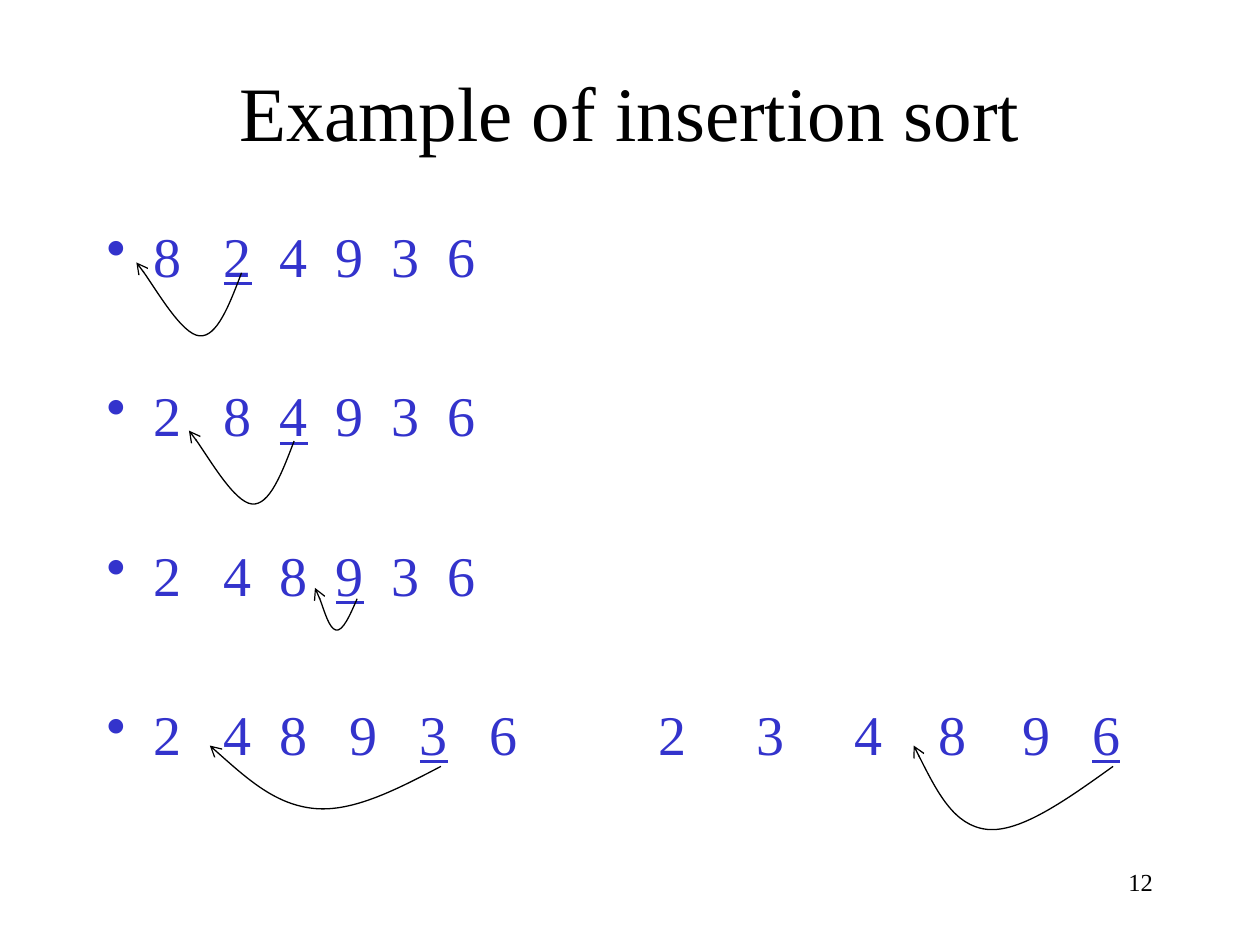
import pptx
import pptx.dml.color
import pptx.enum.text
import pptx.oxml
import pptx.oxml.ns
import pptx.util
from lxml import etree

Cm = pptx.util.Cm
Pt = pptx.util.Pt
qn = pptx.oxml.ns.qn
PP_ALIGN = pptx.enum.text.PP_ALIGN
MSO_ANCHOR = pptx.enum.text.MSO_ANCHOR

FONT = "Times New Roman"
BLACK = "000000"
BLUE = "3333CC"
DIGIT_SIZE = 32
SPACE_WIDTH = DIGIT_SIZE / 4

# Digits, positions of the underlined digits, and gaps counted in space widths.
STEPS = [
    ("824936", {1}, [3, 2, 2, 2, 2]),
    ("284936", {2}, [3, 2, 2, 2, 2]),
    ("248936", {3}, [3, 2, 2, 2, 2]),
    ("248936234896", {4, 11}, [3, 2, 3, 3, 3, 10, 5, 5, 4, 4, 3]),
]

# Moved digit, lowest point, insertion place, and how the curve leaves that place.
MOVES = [
    ((4.87, 5.5), (4.02, 6.77), (2.75, 5.29), (2.97, 5.54)),
    ((5.93, 8.89), (5.08, 10.16), (3.81, 8.68), (4.03, 8.93)),
    ((7.2, 12.07), (6.77, 12.7), (6.35, 11.85), (6.43, 11.96)),
    ((8.89, 15.45), (6.35, 16.3), (4.23, 15.03), None),
    ((22.44, 15.45), (19.9, 16.72), (18.42, 15.03), None),
]


def rgb(value):
    return pptx.dml.color.RGBColor.from_string(value)


def style(paragraph, size, color):
    paragraph.font.name = FONT
    paragraph.font.size = Pt(size)
    paragraph.font.color.rgb = rgb(color)


def add_frame(slide, left, top, width, height):
    frame = slide.shapes.add_textbox(Cm(left), Cm(top), Cm(width), Cm(height)).text_frame
    frame.word_wrap = True
    return frame


def add_label(slide, text, box, size, align, anchor):
    frame = add_frame(slide, *box)
    frame.vertical_anchor = anchor
    label = frame.paragraphs[0]
    label.text = text
    label.alignment = align
    style(label, size, BLACK)


def add_bullet(paragraph):
    properties = paragraph._p.get_or_add_pPr()
    properties.set("marL", str(Cm(0.95)))
    properties.set("indent", str(-Cm(0.95)))
    bullet = etree.Element(qn("a:buChar"), char="•")
    properties.insert_element_before(bullet, "a:tabLst", "a:defRPr", "a:extLst")


def add_step(paragraph, digits, underlined, gaps):
    style(paragraph, DIGIT_SIZE, BLUE)
    add_bullet(paragraph)
    for position, digit in enumerate(digits):
        if position:
            gap = paragraph.add_run()
            gap.text = " "
            spacing = (gaps[position - 1] - 1) * SPACE_WIDTH
            gap._r.get_or_add_rPr().set("spc", str(int(spacing * 100)))
        run = paragraph.add_run()
        run.text = digit
        if position in underlined:
            run.font.underline = True


def add_steps(slide):
    frame = add_frame(slide, 1.9, 4.23, 21.6, 12.7)
    frame.margin_top = Cm(0.24)
    for number, step in enumerate(STEPS):
        paragraph = frame.add_paragraph() if number else frame.paragraphs[0]
        paragraph.space_before = Pt(52.6 if number else 0)
        add_step(paragraph, *step)


def between(first, second, share=0.5):
    return tuple(a + (b - a) * share for a, b in zip(first, second))


def add_move(slide, start, bottom, end, leave):
    """Draw a two-part Bézier arrow whose tangent at the bottom is parallel to start-end."""
    tangent = [(b - a) / 6 for a, b in zip(start, end)]
    before = tuple(b - t for b, t in zip(bottom, tangent))
    after = tuple(b + t for b, t in zip(bottom, tangent))
    points = [between(start, before), before, bottom,
              after, leave or between(after, end), end]
    builder = slide.shapes.build_freeform(Cm(start[0]), Cm(start[1]))
    builder.add_line_segments([(Cm(x), Cm(y)) for x, y in points], close=False)
    arrow = builder.convert_to_shape()
    arrow.shadow.inherit = False
    arrow.fill.background()
    arrow.line.color.rgb = rgb(BLACK)
    arrow.line.width = Pt(0.75)

    outline = arrow._element.find(".//" + qn("a:path"))
    segments = outline.findall(qn("a:lnTo"))
    for first in (0, 3):
        curve = etree.SubElement(outline, qn("a:cubicBezTo"))
        for segment in segments[first:first + 3]:
            curve.append(segment[0])
            outline.remove(segment)
    etree.SubElement(arrow.line._get_or_add_ln(), qn("a:tailEnd"), type="arrow")


def main():
    deck = pptx.Presentation()
    deck.slide_width, deck.slide_height = Cm(25.4), Cm(19.05)
    slide = deck.slides.add_slide(deck.slide_layouts[6])
    add_label(slide, "12", (18.21, 17.35, 5.28, 1.27), 14, PP_ALIGN.RIGHT, MSO_ANCHOR.TOP)
    add_label(slide, "Example of insertion sort", (1.9, 0.64, 21.6, 3.18), 44,
              PP_ALIGN.CENTER, MSO_ANCHOR.MIDDLE)
    add_steps(slide)
    for move in MOVES:
        add_move(slide, *move)
    deck.save("out.pptx")


if __name__ == "__main__":
    main()
